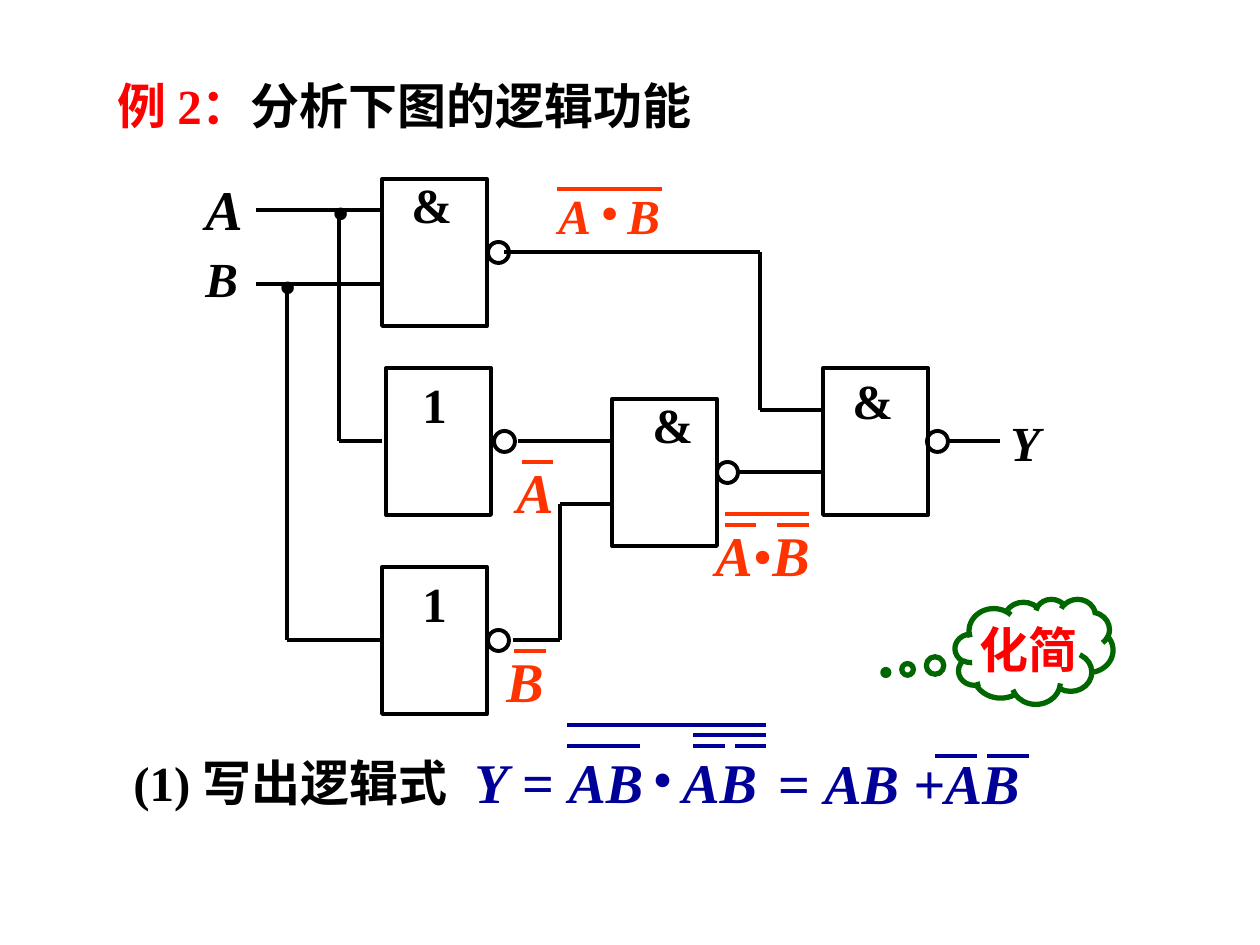
from dataclasses import dataclass
from pptx import Presentation
from pptx.dml.color import RGBColor
from pptx.enum.shapes import MSO_CONNECTOR, MSO_SHAPE
from pptx.enum.text import MSO_ANCHOR, MSO_AUTO_SIZE, PP_ALIGN
from pptx.oxml.ns import qn
from pptx.util import Emu, Pt
from lxml.etree import SubElement


@dataclass(frozen=True)
class Theme:
    font: str = "Times New Roman"
    black: str = "000000"
    red: str = "FF0000"
    orange: str = "FF3300"
    blue: str = "000099"
    green: str = "006600"
    normal: int = 28
    large: int = 32
    dot: int = 44
    big_dot: int = 48
    thin: float = 2.25
    thick: float = 3


THEME = Theme()
PX_PER_INCH = 126
GATE_SIZE = (105, 147)
BUBBLE = 21


def px(length):
    return Emu(round(length * 914400 / PX_PER_INCH))


def add_spans(para, spans, size, color):
    """Each span is its text plus the format values that differ from bold."""
    for text, changes in spans:
        values = {"name": THEME.font, "size": Pt(size), "bold": True, "italic": False}
        values.update(changes)
        span_color = values.pop("color", color)
        span = para.add_run()
        span.text = text
        for name, value in values.items():
            setattr(span.font, name, value)
        span.font.color.rgb = RGBColor.from_string(span_color)


def add_text(page, bounds, spans, size=THEME.normal, color=THEME.black, tab=None, wrap=True):
    box = page.shapes.add_textbox(*map(px, bounds))
    frame = box.text_frame
    frame.word_wrap = wrap
    frame.auto_size = MSO_AUTO_SIZE.SHAPE_TO_FIT_TEXT
    para = frame.paragraphs[0]
    if tab:
        tabs = SubElement(para._p.get_or_add_pPr(), qn("a:tabLst"))
        SubElement(tabs, qn("a:tab"), pos=str(px(tab)), algn="l")
    add_spans(para, spans, size, color)


def add_line(page, start, end, color=THEME.black):
    line = page.shapes.add_connector(MSO_CONNECTOR.STRAIGHT, *map(px, start + end))
    line.line.color.rgb = RGBColor.from_string(color)
    line.line.width = Pt(THEME.thin)
    SubElement(line._element.spPr, qn("a:effectLst"))


def add_wire(page, *points):
    for start, end in zip(points, points[1:]):
        add_line(page, start, end)


def add_bars(page, color, *bars):
    """Negation bars, each given as left, right and height on the page."""
    for left, right, y in bars:
        add_line(page, (left, y), (right, y), color)


def add_outline(page, kind, bounds, color=THEME.black, width=THEME.thin):
    shape = page.shapes.add_shape(kind, *map(px, bounds))
    shape.shadow.inherit = False
    shape.fill.background()
    shape.line.color.rgb = RGBColor.from_string(color)
    shape.line.width = Pt(width)
    return shape


def add_gate(page, corner, bubble, symbol, symbol_bounds):
    add_outline(page, MSO_SHAPE.RECTANGLE, corner + GATE_SIZE)
    add_outline(page, MSO_SHAPE.OVAL, bubble + (BUBBLE, BUBBLE))
    add_text(page, symbol_bounds, [(symbol, {})])


def add_cloud(page, bounds, text):
    cloud = add_outline(page, MSO_SHAPE.CLOUD_CALLOUT, bounds, THEME.green, THEME.thick)
    cloud.adjustments[0], cloud.adjustments[1] = -0.938, 0.2
    frame = cloud.text_frame
    frame.word_wrap = False
    frame.vertical_anchor = MSO_ANCHOR.MIDDLE
    para = frame.paragraphs[0]
    para.alignment = PP_ALIGN.CENTER
    add_spans(para, [(text, {})], THEME.normal, THEME.red)


def add_headings(page):
    add_text(page, (105, 69, 602, 72),
             [("例 2：", {"color": THEME.red}), ("分析下图的逻辑功能", {})])
    add_text(page, (121, 746, 341, 72), [("(1) 写出逻辑式", {})])


def add_circuit(page):
    # Gates with their inverting outputs
    for gate in (
        ((382, 179), (488, 242), "&", (399, 168, 64, 72)),
        ((386, 368), (494, 431), "1", (410, 368, 42, 72)),
        ((382, 567), (488, 630), "1", (410, 567, 42, 72)),
        ((612, 399), (717, 462), "&", (640, 388, 39, 72)),
        ((823, 368), (927, 431), "&", (840, 364, 67, 72)),
    ):
        add_gate(page, *gate)

    # Wires
    for wire in (
        ((256, 210), (382, 210)),
        ((256, 284), (382, 284)),
        ((339, 210), (339, 441), (382, 441)),
        ((287, 284), (287, 640), (382, 640)),
        ((504, 252), (760, 252), (760, 410), (823, 410)),
        ((518, 441), (612, 441)),
        ((513, 640), (560, 640), (560, 504), (612, 504)),
        ((738, 472), (823, 472)),
        ((949, 441), (1000, 441)),
    ):
        add_wire(page, *wire)

    # Junctions
    for left, top in ((319, 136), (266, 210)):
        add_text(page, (left, top, 53, 105), [(".", {})], THEME.dot)

    # Inputs and output
    for name, bounds, size in (
        ("A", (193, 168, 64, 79), THEME.large),
        ("B", (193, 242, 73, 72), THEME.normal),
        ("Y", (998, 406, 55, 72), THEME.normal),
    ):
        add_text(page, bounds, [(name, {"italic": True})], size)


def add_gate_results(page):
    italic = {"italic": True}
    # First gate
    add_text(page, (546, 179, 158, 72), [("A\tB", italic)], color=THEME.orange, tab=69)
    add_text(page, (588, 136, 42, 105), [(".", {})], THEME.dot, THEME.orange)
    # Inverters
    for name, left, top in (("A", 504, 451), ("B", 494, 640)):
        add_text(page, (left, top, 53, 79), [(name, italic)], THEME.large, THEME.orange)
    # Middle gate
    add_text(page, (703, 514, 158, 79),
             [("A", italic), ("•", {"bold": False}), ("B", italic)],
             THEME.large, THEME.orange)
    add_bars(page, THEME.orange, (557, 662, 189), (522, 553, 462), (514, 546, 651),
             (725, 809, 514), (725, 756, 525), (777, 809, 525))


def add_equation(page):
    italic = {"italic": True}
    add_text(page, (462, 741, 410, 79), [("Y", italic), (" = ", {}), ("AB\tAB", italic)],
             THEME.large, THEME.blue, tab=208)
    add_text(page, (640, 696, 42, 112), [(".", {})], THEME.big_dot, THEME.blue)
    add_text(page, (766, 742, 267, 79), [("= ", {}), ("AB +AB", italic)],
             THEME.large, THEME.blue, wrap=False)
    add_bars(page, THEME.blue, (567, 766, 725), (693, 766, 735), (567, 640, 746),
             (693, 725, 746), (735, 766, 746), (935, 977, 756), (987, 1029, 756))


def main():
    deck = Presentation()
    deck.slide_width, deck.slide_height = px(1260), px(945)
    page = deck.slides.add_slide(deck.slide_layouts[6])
    add_headings(page)
    add_circuit(page)
    add_gate_results(page)
    add_equation(page)
    add_cloud(page, (955, 599, 158, 105), "化简")
    deck.save("out.pptx")


if __name__ == "__main__":
    main()
